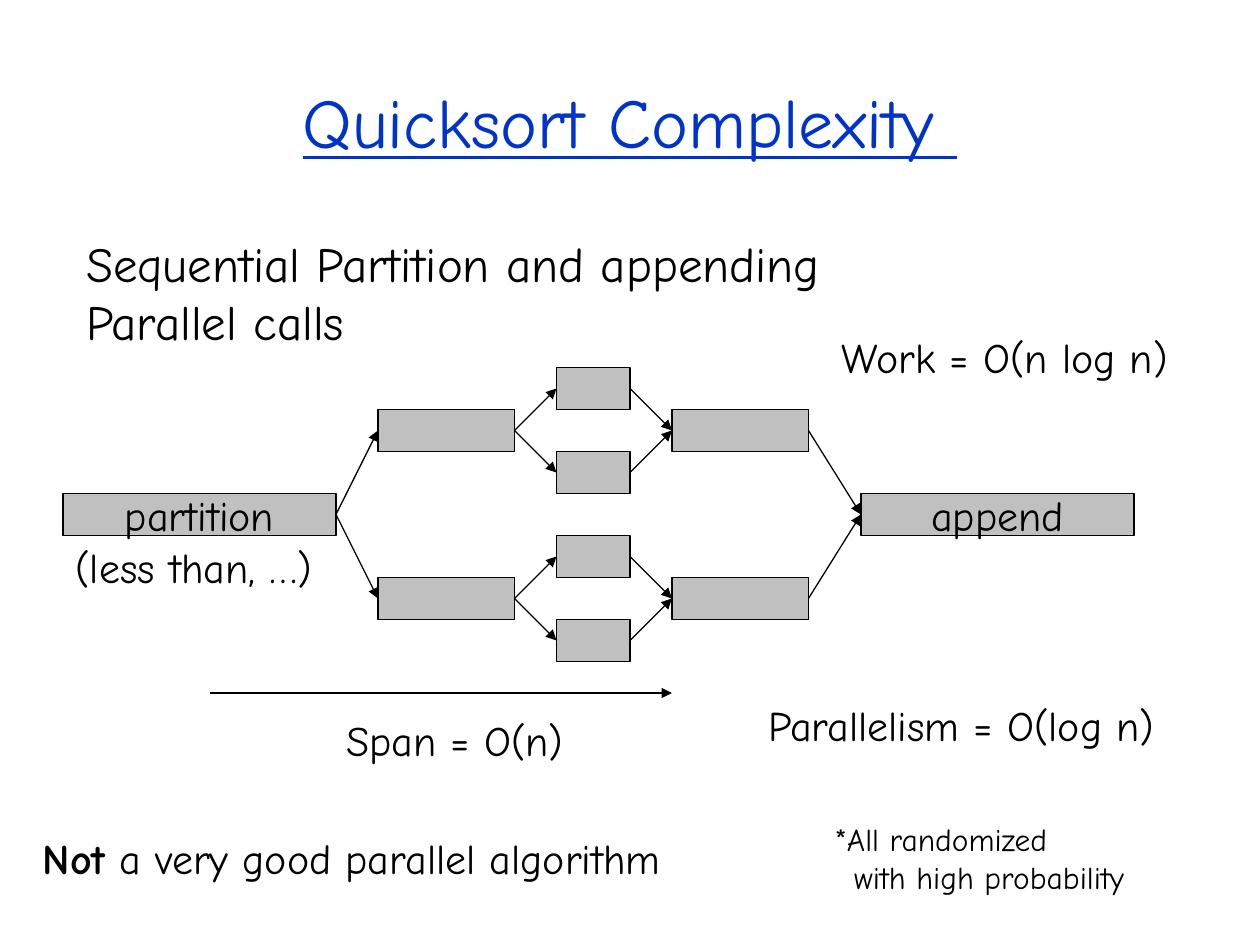
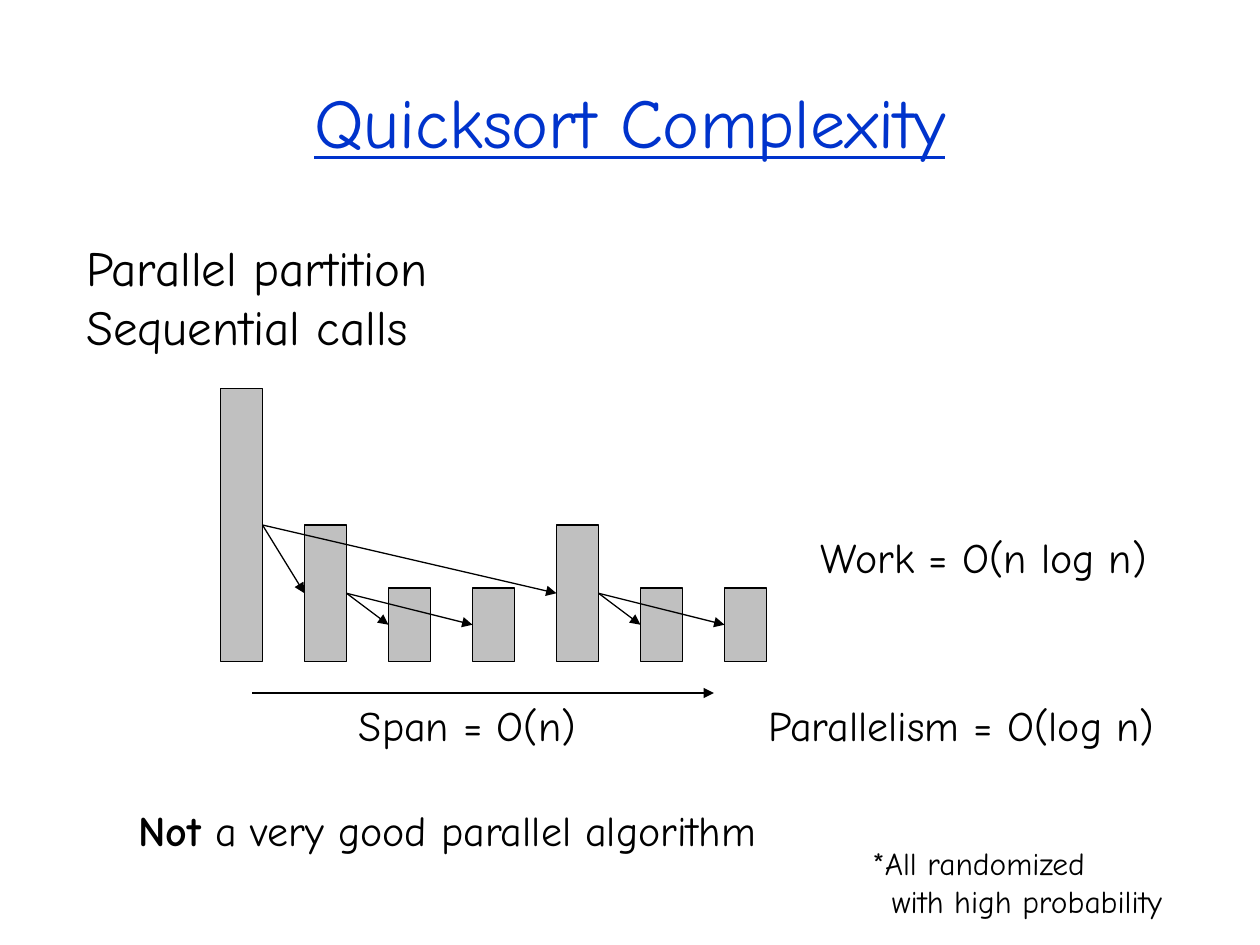
from dataclasses import dataclass
from typing import Any

from lxml import etree
from pptx import Presentation
from pptx import util as u
from pptx.dml import color
from pptx.enum import shapes, text
from pptx.oxml import ns

# Shared look
FONT = "Comic Neue"
BLUE, BLACK, GRAY = "0033CC", "000000", "C0C0C0"
COLS, ROWS = 120, 90
WIDE, HIGH = u.Inches(10), u.Inches(7.5)
THICK = 4  # cells across every bar
CENTER, MIDDLE = text.PP_ALIGN.CENTER, text.MSO_ANCHOR.MIDDLE


@dataclass(frozen=True)
class Cell:
    """A place on the grid, in columns and rows."""
    col: float
    row: float
    wide: float
    high: float

    def emu(self) -> tuple[int, int, int, int]:
        return (across(self.col), down(self.row), across(self.wide), down(self.high))


@dataclass(frozen=True)
class Note:
    """A line or two of text at a place; lead is bold, hang insets the last line."""
    words: str
    at: Cell
    size: int = 24
    lead: str = ""
    hang: float = 0


def across(cols: float) -> int:
    return round(WIDE * cols / COLS)


def down(rows: float) -> int:
    return round(HIGH * rows / ROWS)


def paint(ink: Any, hue: str) -> None:
    ink.rgb = color.RGBColor.from_string(hue)


def child(node: Any, tag: str, **attrs: str) -> None:
    etree.SubElement(node, ns.qn(tag), attrs)


def write(frame: Any, words: str, size: int = 24, hue: str = BLACK, lead: str = "",
          align: Any = None, anchor: Any = None, line: bool = False,
          wrap: bool = False, hang: float = 0, plain: bool = False) -> None:
    """Fill a text frame; plain drops the bullets of a list placeholder."""
    frame.auto_size = text.MSO_AUTO_SIZE.NONE
    frame.word_wrap = wrap
    if anchor is not None:
        frame.vertical_anchor = anchor
    for i, row in enumerate(words.split("\n")):
        para = frame.add_paragraph() if i else frame.paragraphs[0]
        para.alignment = align
        para.space_before = u.Pt(0)
        props = para._p.get_or_add_pPr()
        if plain:
            props.set("marL", "0")
            props.set("indent", "0")
            child(props, "a:buNone")
        if hang and i:
            props.set("marL", str(across(hang)))
        for part, bold in ((lead, True), (row, False)):
            if part:
                run = para.add_run()
                run.text = part
                font = run.font
                font.name, font.size, font.bold = FONT, u.Pt(size), bold
                font.underline = line
                paint(font.color, hue)


def stroke(line: Any) -> None:
    line.width = u.Pt(0.75)
    line.fill.solid()
    paint(line.color, BLACK)


def move(shape: Any, at: Cell) -> None:
    shape.left, shape.top, shape.width, shape.height = at.emu()


def start(deck: Any, title: str, points: str, at: Cell) -> Any:
    """Add a slide with its heading and its list."""
    slide = deck.slides.add_slide(deck.slide_layouts[1])
    head, body = slide.placeholders
    move(head, Cell(9, 6, 102, 11))
    write(head.text_frame, title, size=40, hue=BLUE, line=True, wrap=True,
          align=CENTER, anchor=MIDDLE)
    move(body, at)
    write(body.text_frame, points, size=28, plain=True)
    return slide


def box(slide: Any, at: Cell, label: str = "") -> Any:
    shape = slide.shapes.add_shape(shapes.MSO_SHAPE.RECTANGLE, *at.emu())
    shape.shadow.inherit = False
    shape.fill.solid()
    paint(shape.fill.fore_color, GRAY)
    stroke(shape.line)
    if label:
        write(shape.text_frame, label, align=CENTER, anchor=MIDDLE)
    return shape


def arrow(slide: Any, col: float = 0, row: float = 0, end: float = 0) -> Any:
    """Draw a level arrow from col to end."""
    link = slide.shapes.add_connector(
        shapes.MSO_CONNECTOR.STRAIGHT, across(col), down(row), across(end), down(row))
    stroke(link.line)
    child(link.line._get_or_add_ln(), "a:tailEnd", type="triangle")
    child(link._element.spPr, "a:effectLst")
    return link


def join(slide: Any, src: Any, dst: Any) -> None:
    """Point from the right side of one box to the left side of another."""
    link = arrow(slide)
    link.begin_connect(src, 3)
    link.end_connect(dst, 1)


def jot(slide: Any, notes: list[Note]) -> None:
    for note in notes:
        area = slide.shapes.add_textbox(*note.at.emu())
        write(area.text_frame, note.words, size=note.size, lead=note.lead, hang=note.hang)


def facts(span: tuple, work: tuple, verdict: tuple, odds: tuple) -> list[Note]:
    """The remarks both slides carry, each at its own column and row."""
    return [
        Note("Span = O(n)", Cell(*span, 24.7, 6)),
        Note("Work = O(n log n)", Cell(*work, 35.2, 6)),
        Note(" a very good parallel algorithm", Cell(*verdict, 64.2, 6.1), lead="Not"),
        Note("Parallelism = O(log n)", Cell(72, 66, 41.5, 6.1)),
        Note("*All randomized\nwith high probability", Cell(*odds, 33.5, 8.5),
             size=18, hang=1.85),
    ]


def fork(deck: Any) -> None:
    """Parallel calls between a sequential partition and append."""
    slide = start(deck, "Quicksort Complexity ",
                  "Sequential Partition and appending\nParallel calls",
                  Cell(7, 21.6, 78, 12.5))
    # Boxes: one root, two halves, four quarters, then back
    root = box(slide, Cell(6, 47, 26, THICK), "partition")
    last = box(slide, Cell(82, 47, 26, THICK), "append")
    halves = [box(slide, Cell(36, 39 + 16 * i, 13, THICK)) for i in range(2)]
    leaves = [box(slide, Cell(53, 35 + 8 * i, 7, THICK)) for i in range(4)]
    merges = [box(slide, Cell(64, 39 + 16 * i, 13, THICK)) for i in range(2)]
    # Arrows
    for half, merge in zip(halves, merges):
        join(slide, root, half)
        join(slide, merge, last)
    for i, leaf in enumerate(leaves):
        join(slide, halves[i // 2], leaf)
        join(slide, leaf, merges[i // 2])
    arrow(slide, 20, 66, 64)
    # Remarks
    jot(slide, [Note("(less than, …)", Cell(6, 51, 27, 6))]
        + facts((31.8, 67.5), (79, 31), (2.9, 78.7), (78.3, 77.5)))


def chain(deck: Any) -> None:
    """Sequential calls, each with a parallel partition."""
    slide = start(deck, "Quicksort Complexity",
                  "Parallel partition\nSequential calls", Cell(7, 22, 35.7, 12.4))
    # Bars stand on one floor at equal steps
    floor = 63
    bars = [box(slide, Cell(21 + 8 * i, floor - tall, THICK, tall))
            for i, tall in enumerate((26, 13, 7, 7, 13, 7, 7))]
    # Each call points to its two sub-calls
    for src, dst in ((0, 4), (0, 1), (4, 6), (4, 5), (1, 2), (1, 3)):
        join(slide, bars[src], bars[dst])
    arrow(slide, 24, 66, 68)
    # Remarks
    jot(slide, facts((33, 66), (77, 50), (12, 76), (81.9, 79.8)))


def main() -> None:
    deck = Presentation()
    deck.slide_width, deck.slide_height = WIDE, HIGH
    fork(deck)
    chain(deck)
    deck.save("out.pptx")


if __name__ == "__main__":
    main()
